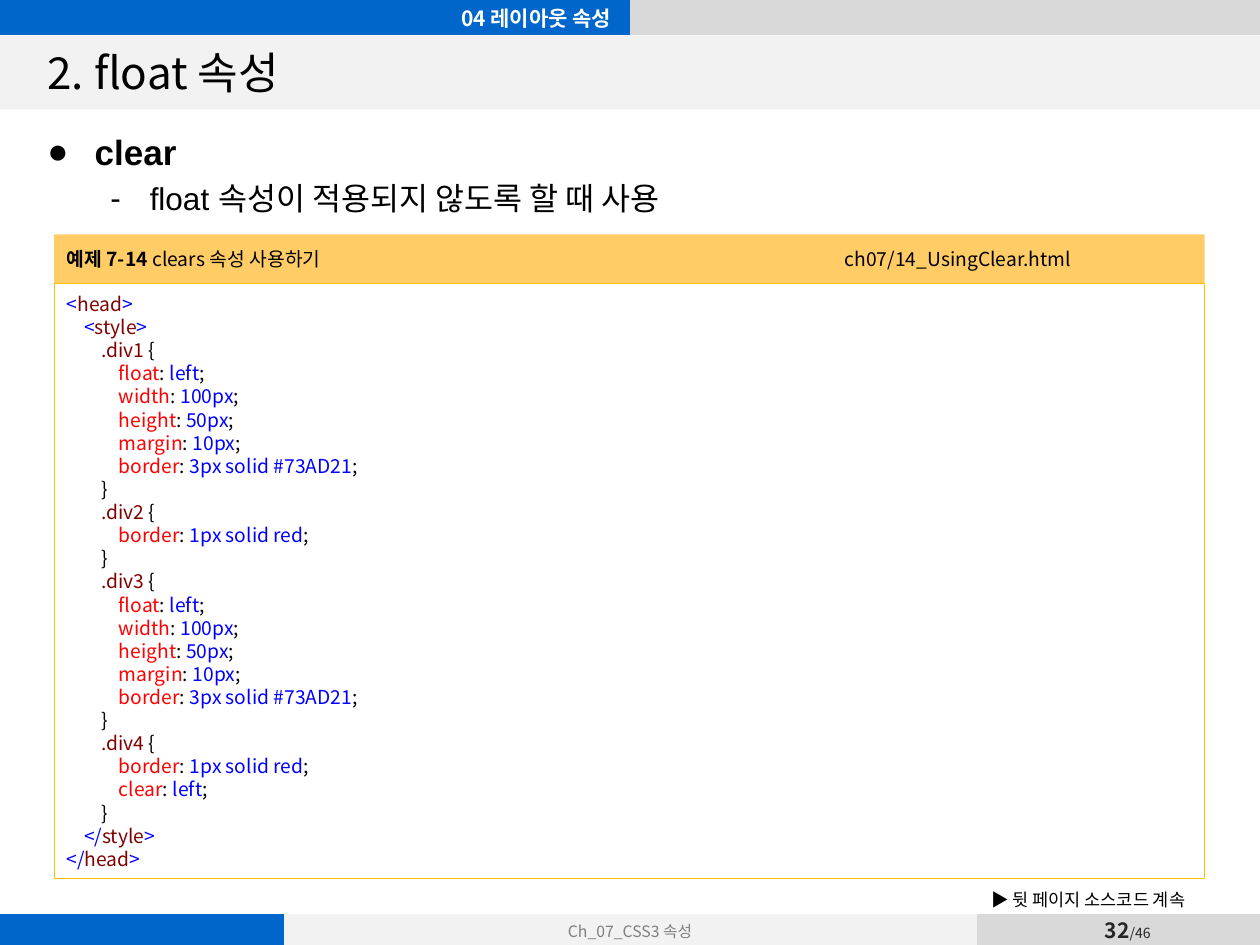
from collections import namedtuple

from lxml.etree import SubElement
from pptx import Presentation
from pptx.dml.color import RGBColor
from pptx.enum.shapes import MSO_SHAPE as Shape
from pptx.enum.text import MSO_ANCHOR as Anchor, PP_ALIGN as Align
from pptx.oxml.ns import qn
from pptx.util import Pt

Box = namedtuple("Box", "left top width height")

SANS, ARIAL = "Noto Sans CJK KR", "Arial"
BLUE, GRAY, PALE = "0066CC", "D9D9D9", "F2F2F2"
BLACK, TAG, VALUE, PROPERTY = "000000", "800000", "0000FF", "FF0000"
NO_TABLE_STYLE = "{2D5ABB26-0587-4C30-8999-92F81FD0307C}"

FLOATED = [("float", "left"), ("width", "100px"), ("height", "50px"),
           ("margin", "10px"), ("border", "3px solid #73AD21")]
OUTLINED = [("border", "1px solid red")]
RULES = {".div1": FLOATED, ".div2": OUTLINED, ".div3": FLOATED,
         ".div4": OUTLINED + [("clear", "left")]}


def color(value):
    return RGBColor.from_string(value)


def points(box):
    return [Pt(value) for value in box]


def paint(fill, value):
    fill.solid()
    fill.fore_color.rgb = color(value)


def add_run(paragraph, text, size, value=BLACK, font=SANS, bold=False):
    run = paragraph.add_run()
    run.text = text
    formats = {"size": Pt(size), "name": font, "bold": bold}
    for name, setting in formats.items():
        setattr(run.font, name, setting)
    run.font.color.rgb = color(value)
    SubElement(run._r.get_or_add_rPr(), qn("a:ea"), typeface=SANS)


def set_frame(frame, **formats):
    settings = {"word_wrap": True, "vertical_anchor": Anchor.MIDDLE, **formats}
    for name, setting in settings.items():
        setattr(frame, name, setting)
    return frame


def add_text(slide, box, align=Align.LEFT, **formats):
    frame = set_frame(slide.shapes.add_textbox(*points(box)).text_frame, **formats)
    frame.paragraphs[0].alignment = align
    return frame


def add_panel(slide, box, fill=None, line=None):
    shape = slide.shapes.add_shape(Shape.RECTANGLE, *points(box))
    shape.shadow.inherit = False
    if fill:
        paint(shape.fill, fill)
    else:
        shape.fill.background()
    if line:
        shape.line.color.rgb = color(line)
        shape.line.width = Pt(0.5)
    else:
        shape.line.fill.background()
    frame = set_frame(shape.text_frame)
    frame.paragraphs[0].alignment = Align.LEFT
    return frame


def add_strip(slide, box, columns):
    """One-row table of coloured cells, given as (width, fill) pairs."""
    frame = slide.shapes.add_table(1, len(columns), *points(box))
    table = frame.table
    table._tbl.tblPr.find(qn("a:tableStyleId")).text = NO_TABLE_STYLE
    table.rows[0].height = Pt(box.height)
    for index, (width, fill) in enumerate(columns):
        table.columns[index].width = Pt(width)
        cell = table.cell(0, index)
        paint(cell.fill, fill)
        cell.vertical_anchor = Anchor.MIDDLE
        for side in ("left", "right", "top", "bottom"):
            setattr(cell, f"margin_{side}", 0)
        end = SubElement(cell.text_frame.paragraphs[0]._p, qn("a:endParaRPr"))
        end.set("sz", "800")
    return table


def add_header(slide, box):
    # Chapter strip
    strip = box._replace(height=20.16)
    half = box.width / 2
    add_strip(slide, strip, [(half, BLUE), (half, GRAY)])
    chapter = add_text(slide, strip._replace(width=half - 3.6), Align.RIGHT)
    add_run(chapter.paragraphs[0], "04 레이아웃 속성", 12, "FFFFFF", bold=True)
    # Title band
    band = Box(box.left, box.top + strip.height, box.width, box.height - strip.height)
    add_panel(slide, band, PALE)
    title = add_text(slide, Box(box.left + 20, band.top + 0.7, 680, 40.3))
    add_run(title.paragraphs[0], "2. float 속성", 25.2)


def add_bullets(slide, box):
    frame = add_text(slide, box, vertical_anchor=Anchor.TOP)
    items = [("clear", "●", 20, True, 27, 27),
             ("float 속성이 적용되지 않도록 할 때 사용", "-", 18, False, 58.5, 22.5)]
    for index, (text, mark, size, bold, margin, hanging) in enumerate(items):
        paragraph = frame.add_paragraph() if index else frame.paragraphs[0]
        paragraph.space_before = Pt(size * 0.2)
        properties = paragraph._p.get_or_add_pPr()
        properties.set("marL", str(Pt(margin)))
        properties.set("indent", str(-Pt(hanging)))
        SubElement(properties, qn("a:buFont"), typeface=ARIAL)
        SubElement(properties, qn("a:buChar"), char=mark)
        add_run(paragraph, text, size, font=ARIAL, bold=bold)


def code_lines():
    """Yield each line as (indent level, coloured parts)."""
    def tag(name, opening="<"):
        return [(opening, VALUE), (name, TAG), (">", VALUE)]

    yield 0, tag("head")
    yield 1, tag("style")
    for selector, declarations in RULES.items():
        yield 2, [(selector, TAG), (" {", BLACK)]
        for name, value in declarations:
            yield 3, [(name, PROPERTY), (": ", BLACK), (value, VALUE), (";", BLACK)]
        yield 2, [("}", BLACK)]
    yield 1, tag("style", "</")
    yield 0, tag("head", "</")


def add_example(slide, box):
    # Caption with the file name at a tab stop
    caption = box._replace(height=28.1)
    paragraph = add_panel(slide, caption, "FFCC66").paragraphs[0]
    tabs = SubElement(paragraph._p.get_or_add_pPr(), qn("a:tabLst"))
    SubElement(tabs, qn("a:tab"), pos=str(Pt(444.6)), algn="l")
    add_run(paragraph, "예제 7-14 ", 11, bold=True)
    add_run(paragraph, "clears 속성 사용하기\tch07/14_UsingClear.html", 11)
    # Source code
    listing = Box(box.left, box.top + caption.height, box.width,
                  box.height - caption.height)
    frame = add_panel(slide, listing, line="FFC000")
    for index, (level, parts) in enumerate(code_lines()):
        paragraph = frame.add_paragraph() if index else frame.paragraphs[0]
        paragraph.alignment = Align.LEFT
        paragraph.line_spacing = Pt(13.2)
        paragraph._p.get_or_add_pPr().set("marL", str(Pt(level * 9.95)))
        for text, value in parts:
            add_run(paragraph, text, 11, value)
    # Continuation note
    note = add_text(slide, Box(box.left + 528.5, box.top + box.height + 2, 140, 19.4),
                    word_wrap=False, vertical_anchor=Anchor.TOP)
    add_run(note.paragraphs[0], "▶ 뒷 페이지 소스코드 계속", 10, font=ARIAL)


def add_footer(slide, box):
    columns = [(162, BLUE), (396, PALE), (2, GRAY), (96.5, GRAY), (65, GRAY)]
    cell = add_strip(slide, box, columns).cell(0, 1)
    paragraph = cell.text_frame.paragraphs[0]
    paragraph.alignment = Align.CENTER
    add_run(paragraph, "Ch_07_CSS3 속성", 9, "808080")
    # Page number
    number = add_text(slide, Box(box.left + 610, box.top, 69, 18.7), Align.CENTER,
                      word_wrap=False, margin_left=0, margin_right=0)
    add_run(number.paragraphs[0], "32", 12, "262626", bold=True)
    add_run(number.paragraphs[0], "/46", 8, "262626")


def main():
    presentation = Presentation()
    presentation.slide_width, presentation.slide_height = Pt(720), Pt(540)
    slide = presentation.slides.add_slide(presentation.slide_layouts[6])
    add_header(slide, Box(0, 0, 720, 62.6))
    add_footer(slide, Box(0, 522, 721.5, 19.4))
    add_bullets(slide, Box(20, 71.3, 692, 62.6))
    add_example(slide, Box(31, 134, 657.4, 368.2))
    presentation.save("out.pptx")


if __name__ == "__main__":
    main()
